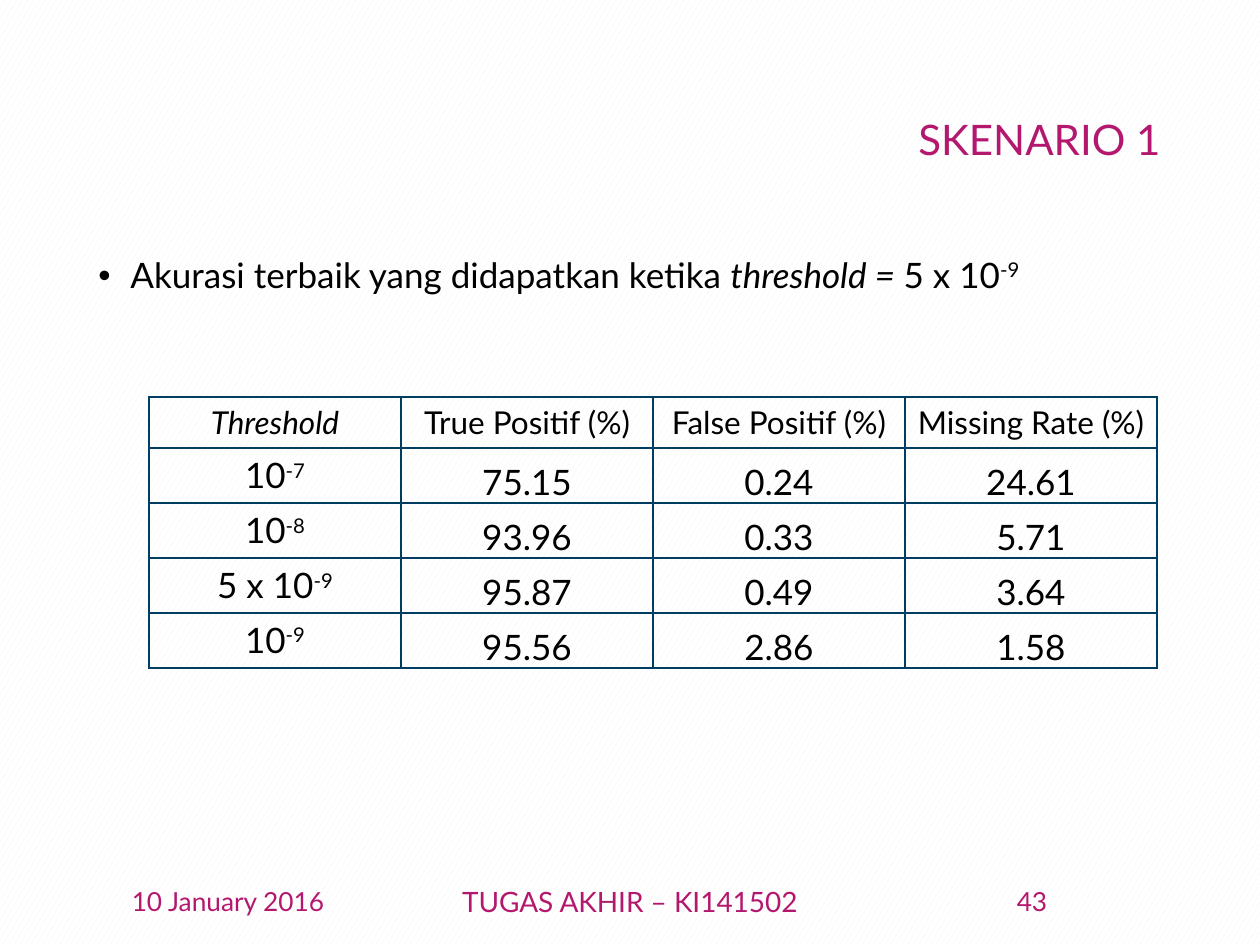
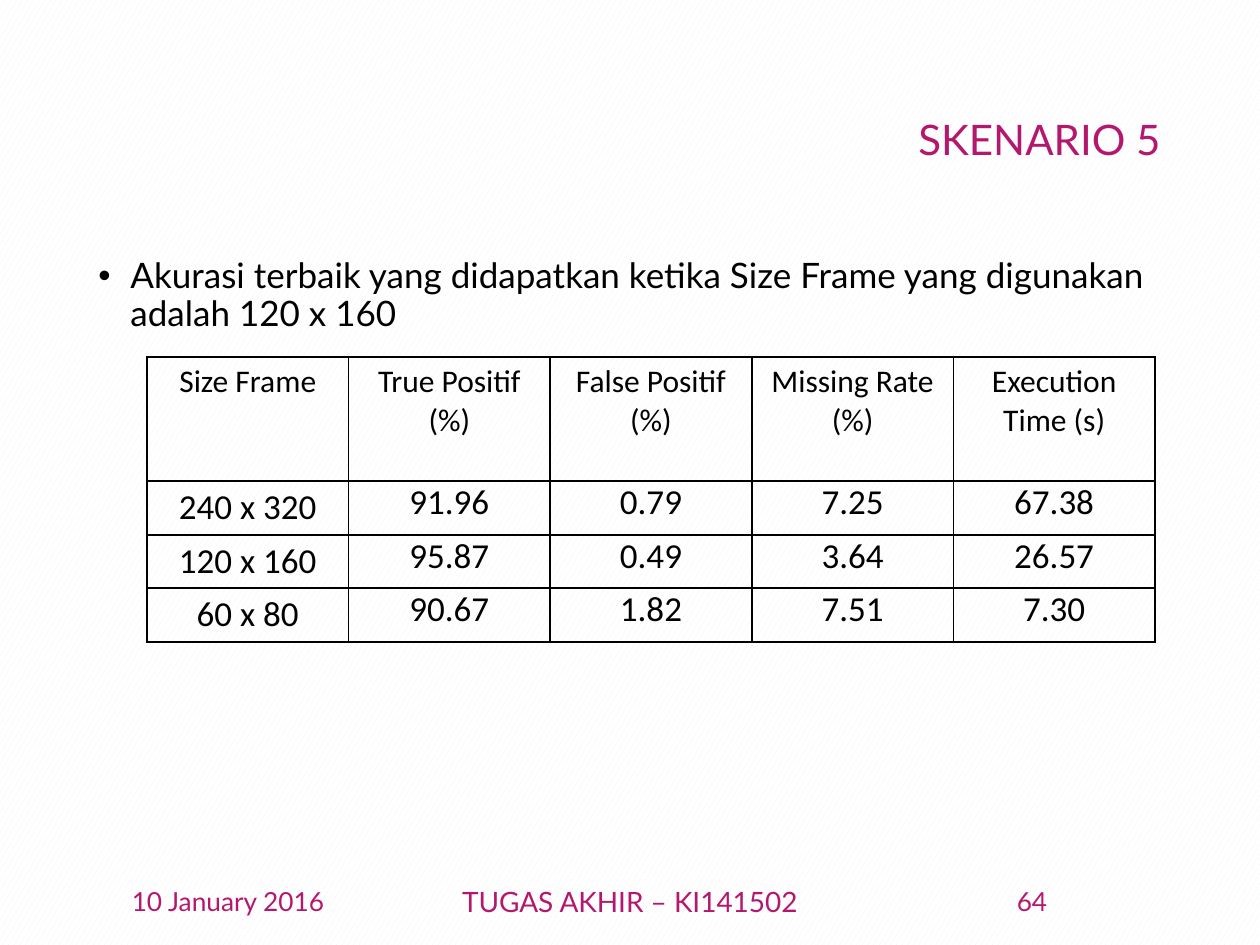
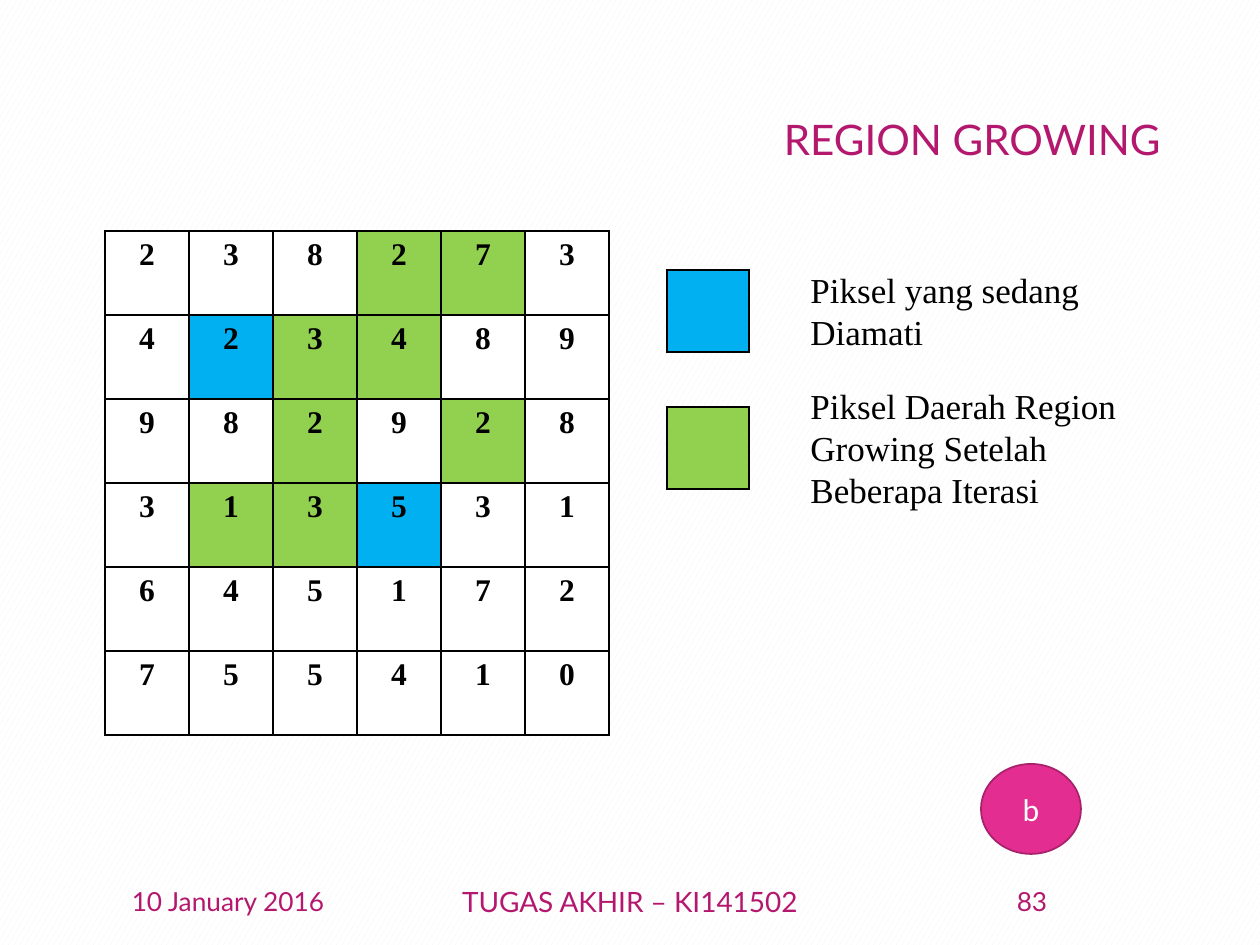
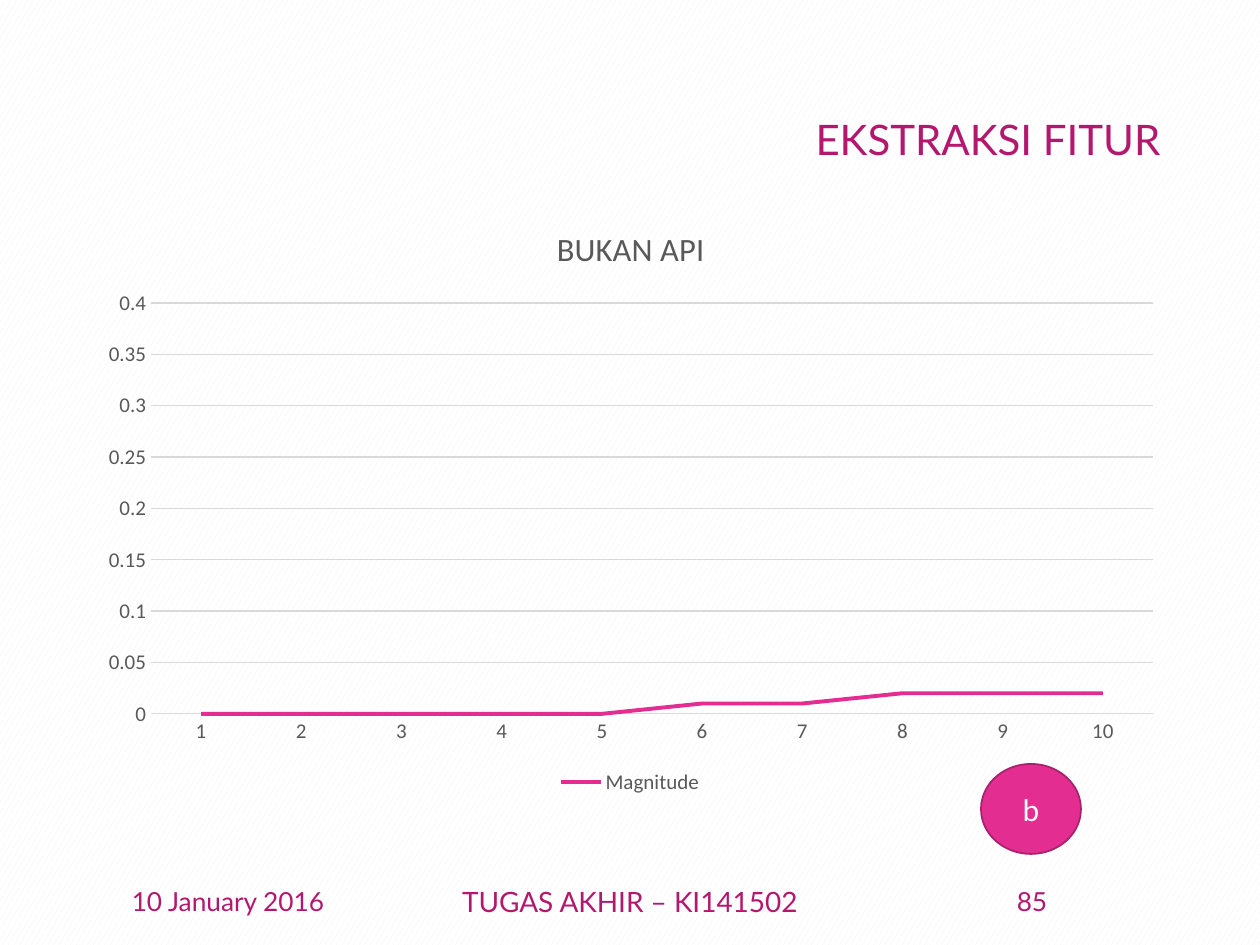
from lxml import etree
from pptx import Presentation
from pptx.chart.data import CategoryChartData
from pptx.dml.color import RGBColor
from pptx.enum.chart import XL_CHART_TYPE, XL_LEGEND_POSITION, XL_TICK_MARK
from pptx.enum.dml import MSO_PATTERN
from pptx.enum.shapes import MSO_SHAPE
from pptx.enum.text import MSO_ANCHOR, PP_ALIGN
from pptx.oxml.ns import qn
from pptx.util import Pt

EMU_PER_PX = 914400 / 126
SLIDE_WIDTH, SLIDE_HEIGHT = 1260, 945

LINE_CHART = XL_CHART_TYPE.LINE
LEGEND_BOTTOM = XL_LEGEND_POSITION.BOTTOM
NO_TICK = XL_TICK_MARK.NONE
CONFETTI = MSO_PATTERN.LARGE_CONFETTI
ELLIPSE = MSO_SHAPE.OVAL
TOP, MIDDLE, BOTTOM = MSO_ANCHOR.TOP, MSO_ANCHOR.MIDDLE, MSO_ANCHOR.BOTTOM
LEFT, CENTER, RIGHT = PP_ALIGN.LEFT, PP_ALIGN.CENTER, PP_ALIGN.RIGHT

WHITE = RGBColor(0xFF, 0xFF, 0xFF)
BLACK = RGBColor(0x00, 0x00, 0x00)
PALE_GRAY = RGBColor(0xF2, 0xF2, 0xF2)
GRID_GRAY = RGBColor(0xD9, 0xD9, 0xD9)
TEXT_GRAY = RGBColor(0x59, 0x59, 0x59)
MAGENTA = RGBColor(0xB4, 0x18, 0x6E)
PINK = RGBColor(0xE3, 0x2D, 0x91)
DARK_PINK = RGBColor(0xA8, 0x21, 0x6B)
NAVY = RGBColor(0x00, 0x3D, 0x62)
GREEN = RGBColor(0x92, 0xD0, 0x50)
BLUE = RGBColor(0x00, 0xB0, 0xF0)

LATO, CALIBRI, TIMES = "Lato", "Calibri", "Times New Roman"

TITLE_BOX = (87, 50, 1086, 183)
BODY_BOX = (86, 252, 1087, 600)
CHART_BOX = (87, 200, 1086, 600)
FOOTER_TOP, FOOTER_HEIGHT = 876, 50
BADGE_BOX = (981, 764, 100, 90)
DEFAULT_INSETS = (12, 6)
TIGHT_INSETS = (9, 0)


def px(length):
    return round(length * EMU_PER_PX)


def emu_box(box):
    return [px(length) for length in box]


def style_font(font, name, size, color, bold=False):
    font.name = name
    font.size = Pt(size)
    font.bold = bold
    font.color.rgb = color


def add_bullet(paragraph, indent):
    properties = paragraph._p.get_or_add_pPr()
    properties.set("marL", str(px(indent)))
    properties.set("indent", str(-px(indent)))
    etree.SubElement(properties, qn("a:buFont")).set("typeface", "Arial")
    etree.SubElement(properties, qn("a:buChar")).set("char", "•")


def write_text(text_frame, text, font=LATO, size=20, color=BLACK, bold=False,
               align=LEFT, line_spacing=None, bullet_indent=None):
    paragraph = text_frame.paragraphs[0]
    paragraph.alignment = align
    if line_spacing:
        paragraph.line_spacing = line_spacing
    if bullet_indent:
        add_bullet(paragraph, bullet_indent)
    pieces = [(text, "plain")] if isinstance(text, str) else text
    for piece, emphasis in pieces:
        run = paragraph.add_run()
        run.text = piece
        style_font(run.font, font, size, color, bold)
        if emphasis == "italic":
            run.font.italic = True
        elif emphasis == "superscript":
            run._r.get_or_add_rPr().set("baseline", "30000")


def add_text_box(slide, box, text, anchor=TOP, **text_format):
    text_frame = slide.shapes.add_textbox(*emu_box(box)).text_frame
    text_frame.word_wrap = True
    text_frame.vertical_anchor = anchor
    write_text(text_frame, text, **text_format)


def add_bullet_line(slide, text):
    add_text_box(slide, BODY_BOX, text, line_spacing=0.9, bullet_indent=32)


def add_footer(slide, number):
    for left, width, text, size in ((86, 284, "10 January 2016", 15),
                                    (417, 426, "TUGAS AKHIR – KI141502", 16),
                                    (890, 284, number, 15)):
        add_text_box(slide, (left, FOOTER_TOP, width, FOOTER_HEIGHT), text,
                     anchor=MIDDLE, size=size, color=MAGENTA, align=CENTER)


def add_titled_slide(presentation, title, number):
    slide = presentation.slides.add_slide(presentation.slide_layouts[6])
    add_text_box(slide, TITLE_BOX, title, anchor=MIDDLE, size=24,
                 color=MAGENTA, align=RIGHT, line_spacing=0.9)
    add_footer(slide, number)
    return slide


def set_borders(cell, color):
    properties = cell._tc.get_or_add_tcPr()
    for side in ("lnL", "lnR", "lnT", "lnB"):
        line = etree.SubElement(properties, qn(f"a:{side}"), w=str(Pt(1)))
        fill = etree.SubElement(line, qn("a:solidFill"))
        etree.SubElement(fill, qn("a:srgbClr"), val=str(color))


def fill_cell(cell, text, border=BLACK, fill=None, anchor=TOP,
              insets=DEFAULT_INSETS, **text_format):
    set_borders(cell, border)
    if fill is None:
        cell.fill.background()
    else:
        cell.fill.solid()
        cell.fill.fore_color.rgb = fill
    cell.vertical_anchor = anchor
    cell.margin_left = cell.margin_right = px(insets[0])
    cell.margin_top = cell.margin_bottom = px(insets[1])
    if text:
        write_text(cell.text_frame, text, align=CENTER, **text_format)


def add_table(slide, left, top, width, row_heights, rows, cell_format):
    column_count = len(rows[0])
    box = (left, top, width, sum(row_heights))
    table = slide.shapes.add_table(len(rows), column_count, *emu_box(box)).table
    table.first_row = table.horz_banding = False
    for column in table.columns:
        column.width = px(width / column_count)
    for row_index, texts in enumerate(rows):
        table.rows[row_index].height = px(row_heights[row_index])
        for column_index, text in enumerate(texts):
            fill_cell(table.cell(row_index, column_index), text,
                      **cell_format(row_index, column_index))


def measure_format(shared, label, value):
    def cell_format(row_index, column_index):
        if row_index == 0:
            return {**shared, "size": 18}
        return {**shared, **(value if column_index else label)}
    return cell_format


def add_badge(slide, text):
    badge = slide.shapes.add_shape(ELLIPSE, *emu_box(BADGE_BOX))
    badge.shadow.inherit = False
    badge.fill.solid()
    badge.fill.fore_color.rgb = PINK
    badge.line.color.rgb = DARK_PINK
    badge.line.width = Pt(1)
    badge.text_frame.vertical_anchor = MIDDLE
    write_text(badge.text_frame, text, font=CALIBRI, size=18, color=WHITE,
               align=CENTER)


def place_chart_part(element, index, chart_box, **lengths):
    existing = element.find(qn("c:layout"))
    if existing is not None:
        element.remove(existing)
    layout = etree.Element(qn("c:layout"))
    manual = etree.SubElement(layout, qn("c:manualLayout"))
    if "w" in lengths:
        etree.SubElement(manual, qn("c:layoutTarget"), val="inner")
    for axis in ("xMode", "yMode"):
        etree.SubElement(manual, qn(f"c:{axis}"), val="edge")
    chart_width, chart_height = chart_box[2:]
    for name, length in lengths.items():
        whole = chart_width if name in "xw" else chart_height
        etree.SubElement(manual, qn(f"c:{name}"), val=str(length / whole))
    element.insert(index, layout)


def add_magnitude_chart(slide, box, title, magnitudes):
    data = CategoryChartData()
    data.categories = [str(position + 1) for position in range(len(magnitudes))]
    data.add_series("Magnitude", magnitudes)
    chart = slide.shapes.add_chart(LINE_CHART, *emu_box(box), data).chart
    style_font(chart.font, CALIBRI, 10, BLACK)

    chart.has_title = True
    write_text(chart.chart_title.text_frame, title, font=CALIBRI, size=18.6,
               color=TEXT_GRAY, align=CENTER)
    chart.chart_title.include_in_layout = False
    place_chart_part(chart.chart_title._element, 1, box, x=464, y=20)
    place_chart_part(chart._chartSpace.chart.plotArea, 0, box,
                     x=64, y=103, w=1002, h=411)

    chart.has_legend = True
    chart.legend.position = LEGEND_BOTTOM
    chart.legend.include_in_layout = False
    style_font(chart.legend.font, CALIBRI, 12, TEXT_GRAY)

    value_axis, category_axis = chart.value_axis, chart.category_axis
    for axis in (value_axis, category_axis):
        axis.major_tick_mark = axis.minor_tick_mark = NO_TICK
        style_font(axis.tick_labels.font, CALIBRI, 12, TEXT_GRAY)
    value_axis.minimum_scale = 0
    value_axis.maximum_scale = 0.4
    value_axis.major_unit = 0.05
    value_axis.format.line.fill.background()
    for line in (value_axis.major_gridlines.format.line,
                 category_axis.format.line):
        line.color.rgb = GRID_GRAY
        line.width = Pt(0.75)

    chart.plots[0].vary_by_categories = False
    series = chart.plots[0].series[0]
    series.smooth = False
    series.format.line.color.rgb = PINK
    series.format.line.width = Pt(2.25)


def power_of_ten(exponent, factor=""):
    return [(f"{factor}10", "plain"), (exponent, "superscript")]


def build_threshold_slide(presentation):
    slide = add_titled_slide(presentation, "SKENARIO 1", "43")
    add_bullet_line(slide, [
        ("Akurasi terbaik yang didapatkan ketika ", "plain"),
        ("threshold = ", "italic"),
        *power_of_ten("-9", "5 x "),
    ])
    rows = [
        [[("Threshold", "italic")], "True Positif (%)", "False Positif (%)",
         "Missing Rate (%)"],
        [power_of_ten("-7"), "75.15", "0.24", "24.61"],
        [power_of_ten("-8"), "93.96", "0.33", "5.71"],
        [power_of_ten("-9", "5 x "), "95.87", "0.49", "3.64"],
        [power_of_ten("-9"), "95.56", "2.86", "1.58"],
    ]
    add_table(slide, 149, 397, 1008, [51] + [55] * 4, rows,
              measure_format({"font": LATO, "border": NAVY}, {},
                             {"anchor": BOTTOM, "insets": TIGHT_INSETS}))


def build_frame_size_slide(presentation):
    slide = add_titled_slide(presentation, "SKENARIO 5", "64")
    add_bullet_line(slide, "Akurasi terbaik yang didapatkan ketika Size Frame "
                           "yang digunakan adalah 120 x 160")
    rows = [
        ["Size Frame", "True Positif (%)", "False Positif (%)",
         "Missing Rate (%)", "Execution Time (s)"],
        ["240 x 320", "91.96", "0.79", "7.25", "67.38"],
        ["120 x 160", "95.87", "0.49", "3.64", "26.57"],
        ["60 x 80", "90.67", "1.82", "7.51", "7.30"],
    ]
    add_table(slide, 147, 357, 1008, [124, 54, 53, 54], rows,
              measure_format({"font": CALIBRI},
                             {"anchor": MIDDLE, "insets": TIGHT_INSETS},
                             {"insets": TIGHT_INSETS}))


def build_region_growing_slide(presentation):
    slide = add_titled_slide(presentation, "REGION GROWING", "83")
    pixels = ["238273", "423489", "982928", "313531", "645172", "755410"]
    regions = ["...gg.", ".bgg..", "..g.g.", ".ggb..", "......", "......"]
    region_colors = {".": WHITE, "g": GREEN, "b": BLUE}

    def pixel_format(row_index, column_index):
        return {"font": TIMES, "size": 18, "bold": True,
                "fill": region_colors[regions[row_index][column_index]]}

    add_table(slide, 105, 231, 504, [84] * 6, pixels, pixel_format)
    legend = (
        (BLUE, 270, 262, 97, "Piksel yang sedang Diamati"),
        (GREEN, 407, 378, 140,
         "Piksel Daerah Region Growing Setelah Beberapa Iterasi"),
    )
    for color, swatch_top, text_top, text_height, text in legend:
        add_table(slide, 667, swatch_top, 82, [82], [[""]],
                  lambda row_index, column_index: {"fill": color})
        add_text_box(slide, (798, text_top, 400, text_height), text, font=TIMES)
    add_badge(slide, "b")


def build_feature_slide(presentation):
    slide = add_titled_slide(presentation, "EKSTRAKSI FITUR", "85")
    add_magnitude_chart(slide, CHART_BOX, "BUKAN API",
                        [0, 0, 0, 0, 0, 0.01, 0.01, 0.02, 0.02, 0.02])
    add_badge(slide, "b")


def main():
    presentation = Presentation()
    presentation.slide_width = px(SLIDE_WIDTH)
    presentation.slide_height = px(SLIDE_HEIGHT)
    background = presentation.slide_master.background.fill
    background.patterned()
    background.pattern = CONFETTI
    background.fore_color.rgb = PALE_GRAY
    background.back_color.rgb = WHITE
    build_threshold_slide(presentation)
    build_frame_size_slide(presentation)
    build_region_growing_slide(presentation)
    build_feature_slide(presentation)
    presentation.save("out.pptx")


if __name__ == "__main__":
    main()
